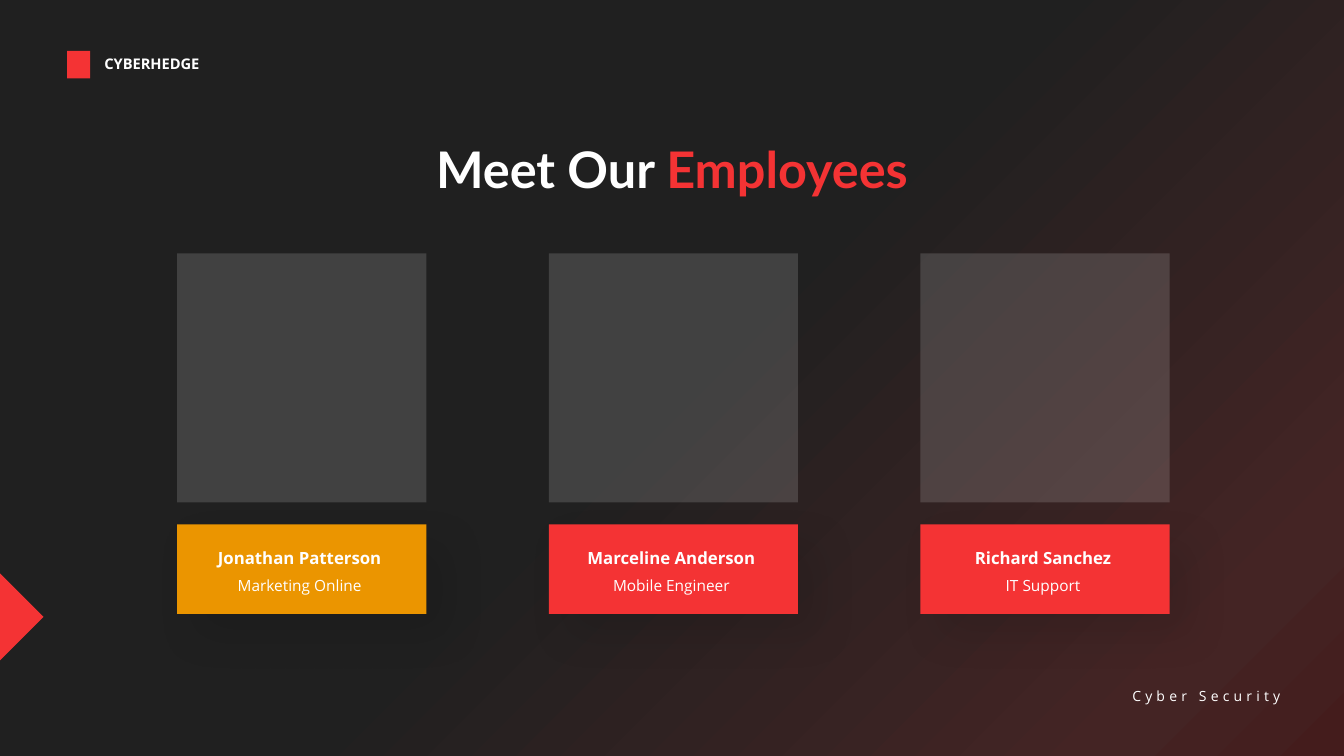
from dataclasses import dataclass

from lxml.etree import SubElement
from pptx import Presentation
from pptx.dml.color import RGBColor
from pptx.enum.shapes import MSO_SHAPE
from pptx.enum.text import MSO_AUTO_SIZE, PP_ALIGN
from pptx.oxml.ns import qn
from pptx.util import Pt


@dataclass(frozen=True)
class Theme:
    """Colours, fonts and type sizes of the slide."""
    white: str = "FFFFFF"
    red: str = "F43334"
    amber: str = "EB9500"
    black: str = "000000"
    backdrop: tuple = ((0, "202020"), (50, "202020"), (88, "442424"), (100, "441C1C"))
    heading_font: str = "Lato"
    body_font: str = "Open Sans"
    heading_size: float = 36
    name_size: float = 12
    role_size: float = 11
    brand_size: float = 10.5
    footer_size: float = 10


THEME = Theme()


def add_colour(parent, colour, alpha=None):
    """Append an RGB colour element, with an optional opacity in percent."""
    rgb = SubElement(parent, qn("a:srgbClr"), val=colour)
    if alpha is not None:
        SubElement(rgb, qn("a:alpha"), val=str(alpha * 1000))


def add_block(slide, kind, box, colour, alpha=None):
    """Draw a borderless filled shape in the given box."""
    block = slide.shapes.add_shape(kind, *map(Pt, box))
    block.shadow.inherit = False
    block.line.fill.background()
    block.fill.solid()
    block.fill.fore_color.rgb = RGBColor.from_string(colour)
    if alpha is not None:
        solid = block.element.spPr.find(qn("a:solidFill"))
        solid.clear()
        add_colour(solid, colour, alpha)
    return block


def add_soft_shadow(block):
    """Give a block a faint shadow towards the lower right."""
    effects = block.element.spPr.find(qn("a:effectLst"))
    shadow = SubElement(effects, qn("a:outerShdw"), blurRad=str(Pt(30)), dist=str(Pt(20)),
                        dir="2700000", algn="tl", rotWithShape="0")
    add_colour(shadow, THEME.black, 10)


def add_words(slide, box, runs, size, align=PP_ALIGN.CENTER, font=THEME.body_font,
              bold=False, spacing=None, wrap=True):
    """Write one line of coloured runs in the given box."""
    frame = slide.shapes.add_textbox(*map(Pt, box)).text_frame
    frame.word_wrap = wrap
    frame.auto_size = MSO_AUTO_SIZE.SHAPE_TO_FIT_TEXT
    line = frame.paragraphs[0]
    line.alignment = align
    for words, colour in runs:
        run = line.add_run()
        run.text = words
        run.font.name = font
        run.font.size = Pt(size)
        run.font.bold = bold
        run.font.color.rgb = RGBColor.from_string(colour)
        if spacing:
            run.font._element.set("spc", str(spacing * 100))


def paint_backdrop(slide):
    """Fill the slide with the diagonal dark gradient."""
    fill = slide.background.fill
    fill.gradient()
    fill.gradient_angle = 315
    stops = slide.element.find(".//" + qn("a:gsLst"))
    stops.clear()
    for position, colour in THEME.backdrop:
        add_colour(SubElement(stops, qn("a:gs"), pos=str(position * 1000)), colour)


def add_brand(slide, left, top, width, height):
    """Place a plain red block and the company name."""
    add_block(slide, MSO_SHAPE.RECTANGLE, (left, top, 16.5, height), THEME.red)
    add_words(slide, (left + 19.5, top - 0.8, width - 19.5, height),
              [("CYBERHEDGE", THEME.white)], THEME.brand_size,
              PP_ALIGN.LEFT, bold=True, wrap=False)


def add_heading(slide, left, top, width, height):
    """Place the two-coloured slide title."""
    add_words(slide, (left, top, width, height),
              [("Meet Our ", THEME.white), ("Employees", THEME.red)],
              THEME.heading_size, font=THEME.heading_font, bold=True)


def add_employee(slide, left, top, width, height, name, role, colour):
    """Place a square portrait area above a name plate."""
    plate_height = 64
    plate_top = top + height - plate_height
    add_block(slide, MSO_SHAPE.RECTANGLE, (left, top, width, width), THEME.white, 15)
    plate = add_block(slide, MSO_SHAPE.RECTANGLE,
                      (left, plate_top, width, plate_height), colour)
    add_soft_shadow(plate)
    add_words(slide, (left + 16.7, plate_top + 12.9, 141.8, 21.8),
              [(name, THEME.white)], THEME.name_size, bold=True)
    add_words(slide, (left + 31, plate_top + 33.5, 113.2, 20.6),
              [(role, THEME.white)], THEME.role_size)


def add_team(slide, left, top, width, height):
    """Spread the employee cards evenly over the given box."""
    team = (("Jonathan Patterson", "Marketing Online", THEME.amber),
            ("Marceline Anderson", "Mobile Engineer", THEME.red),
            ("Richard Sanchez", "IT Support", THEME.red))
    card_width = 178
    pitch = (width - card_width) / (len(team) - 1)
    for position, member in enumerate(team):
        add_employee(slide, left + position * pitch, top, card_width, height, *member)


def add_pointer(slide, left, top, width, height):
    """Place the triangle that points inwards from the left edge."""
    pointer = add_block(slide, MSO_SHAPE.RIGHT_TRIANGLE, (left, top, width, height), THEME.red)
    pointer.rotation = 225


def add_footer(slide, left, top, width, height):
    """Place the spaced topic line."""
    add_words(slide, (left, top, width, height), [("Cyber Security", THEME.white)],
              THEME.footer_size, PP_ALIGN.RIGHT, spacing=3, wrap=False)


def build_team_slide(deck):
    """Add the employees slide to the deck."""
    slide = deck.slides.add_slide(deck.slide_layouts[6])
    paint_backdrop(slide)
    add_brand(slide, 48, 36.4, 104.5, 19.6)
    add_footer(slide, 792.7, 487.4, 128.9, 19.4)
    add_pointer(slide, -22, 418.6, 44, 44)
    add_heading(slide, 253.5, 95, 453, 51)
    add_team(slide, 126.5, 180.9, 709, 257.6)


deck = Presentation()
deck.slide_width, deck.slide_height = Pt(960), Pt(540)
build_team_slide(deck)
deck.save("out.pptx")
